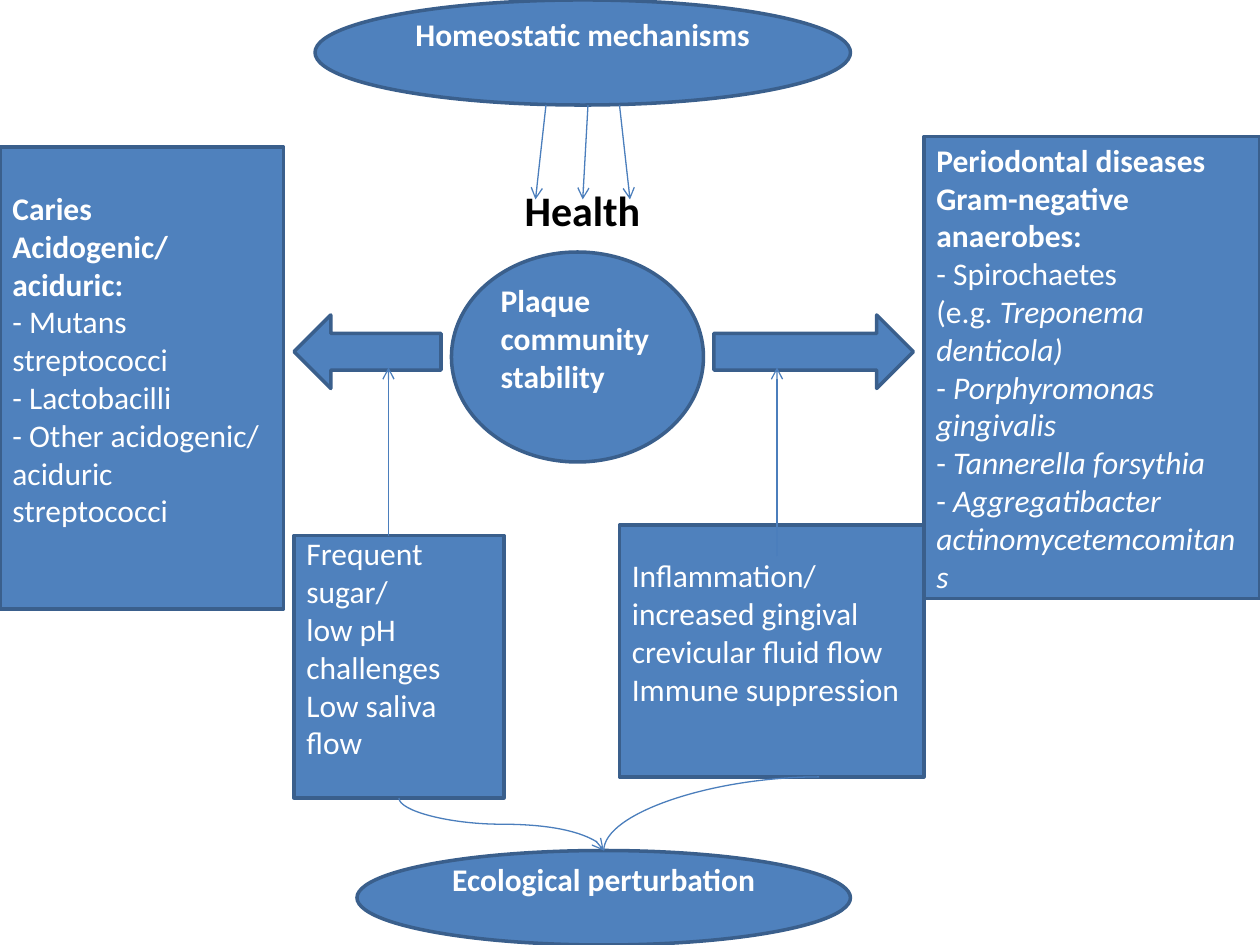
from lxml.etree import SubElement
from pptx import Presentation
from pptx.dml.color import RGBColor
from pptx.enum.shapes import MSO_CONNECTOR, MSO_SHAPE
from pptx.enum.text import MSO_ANCHOR, PP_ALIGN
from pptx.oxml.ns import qn
from pptx.util import Inches, Pt

# Grid of 120 columns by 90 rows
CELL = Inches(1) / 12
FILL, EDGE, WIRE = "4F81BD", "3A5F8C", "4B7EBC"
WHITE, BLACK = "FFFFFF", "000000"
FOOT = 0.35  # bottom inset that lifts the text by half a line


def grid(*cells):
    return [round(cell * CELL) for cell in cells]


def paint(target, color):
    target.rgb = RGBColor.from_string(color)


def write(shape, lines, size=18, color=WHITE, bold=0, align=PP_ALIGN.LEFT,
          anchor=MSO_ANCHOR.MIDDLE, left=0.1, foot=0.05):
    """Fill a frame; the first `bold` lines are bold, _ toggles italics."""
    frame = shape.text_frame
    frame.word_wrap = True
    frame.vertical_anchor = anchor
    frame.margin_left, frame.margin_bottom = Inches(left), Inches(foot)
    for row, line in enumerate(lines):
        para = frame.add_paragraph() if row else frame.paragraphs[0]
        para.alignment = align
        for part, words in enumerate(line.split("_")):
            if not words:
                continue
            run = para.add_run()
            run.text = words
            font = run.font
            font.name, font.size = "Calibri", Pt(size)
            font.bold, font.italic = row < bold, part % 2 == 1
            paint(font.color, color)


def block(slide, kind, cells, lines=(), **style):
    shape = slide.shapes.add_shape(kind, *grid(*cells))
    shape.shadow.inherit = False
    shape.fill.solid()
    paint(shape.fill.fore_color, FILL)
    paint(shape.line.color, EDGE)
    shape.line.width = Pt(2)
    if lines:
        write(shape, lines, **style)


def wire(slide, start, end, kind=MSO_CONNECTOR.STRAIGHT, head=True):
    link = slide.shapes.add_connector(kind, *grid(*start, *end))
    paint(link.line.color, WIRE)
    link.line.width = Pt(0.75)
    props = link._element.spPr
    if head:
        SubElement(props.find(qn("a:ln")), qn("a:tailEnd"), type="arrow")
    SubElement(props, qn("a:effectLst"))
    return props


def curve(slide, start, end, turn, preset, head=True):
    """Curved link that leaves vertically: drawn flat, then turned 90 or 270."""
    (x1, y1), (x2, y2) = start, end
    sign = 1 if turn == 90 else -1
    mid_x, mid_y = (x1 + x2) / 2, (y1 + y2) / 2
    half_x, half_y = sign * (y2 - y1) / 2, -sign * (x2 - x1) / 2
    props = wire(slide, (mid_x - half_x, mid_y - half_y),
                 (mid_x + half_x, mid_y + half_y), MSO_CONNECTOR.CURVE, head)
    props.find(qn("a:xfrm")).set("rot", str(turn * 60000))
    props.find(qn("a:prstGeom")).set("prst", preset)


def main():
    deck = Presentation()
    deck.slide_width, deck.slide_height = grid(120, 90)
    slide = deck.slides.add_slide(deck.slide_layouts[6])
    oval, box = MSO_SHAPE.OVAL, MSO_SHAPE.RECTANGLE

    # Centre and the two diseases
    block(slide, oval, (43, 24, 24, 20),
          ["Plaque community", "stability"], bold=2, foot=FOOT)
    block(slide, box, (88, 13, 32, 44), [
        "Periodontal diseases", "Gram-negative anaerobes:",
        "- Spirochaetes", "(e.g. _Treponema denticola)_",
        "- _Porphyromonas gingivalis_", "- _Tannerella forsythia_",
        "- _Aggregatibacter_", "_actinomycetemcomitans_"], bold=2)
    block(slide, box, (0, 14, 27, 44), [
        "Caries", "Acidogenic/aciduric:", "- Mutans streptococci",
        "- Lactobacilli", "- Other acidogenic/", "aciduric streptococci"],
        bold=2, foot=FOOT)

    # Top and bottom ovals
    for cells, words in [((30, 0, 51, 10), "Homeostatic mechanisms"),
                         ((34, 81, 47, 9), "Ecological perturbation")]:
        block(slide, oval, cells, [words], bold=1,
              align=PP_ALIGN.CENTER, foot=FOOT)

    # Causes
    block(slide, box, (28, 51, 20, 25),
          ["Frequent sugar/", "low pH challenges", "Low saliva flow"],
          foot=FOOT)
    block(slide, box, (59, 50, 29, 24),
          ["Inflammation/", "increased gingival crevicular fluid flow",
           "Immune suppression"], foot=FOOT)

    # Block arrows
    block(slide, MSO_SHAPE.RIGHT_ARROW, (68, 30, 19, 7))
    block(slide, MSO_SHAPE.LEFT_ARROW, (28, 30, 14, 7))

    # Health label
    label = slide.shapes.add_textbox(*grid(46, 17, 21, 6))
    write(label, ["Health"], size=24, color=BLACK, bold=1,
          anchor=MSO_ANCHOR.TOP, left=0.33)

    # Thin arrows: causes upward, homeostasis downward
    for col, row in [(37, 51), (74, 53)]:
        wire(slide, (col, row), (col, 35))
    for top, tip in [(56, 55.5), (52, 51), (59, 60)]:
        wire(slide, (top, 10), (tip, 19))

    # Curves that meet at the bottom oval
    meet = (57.5, 81)
    curve(slide, (38, 76), meet, 270, "curvedConnector3")
    curve(slide, meet, (78, 74), 90, "curvedConnector2", head=False)

    deck.save("out.pptx")


if __name__ == "__main__":
    main()
